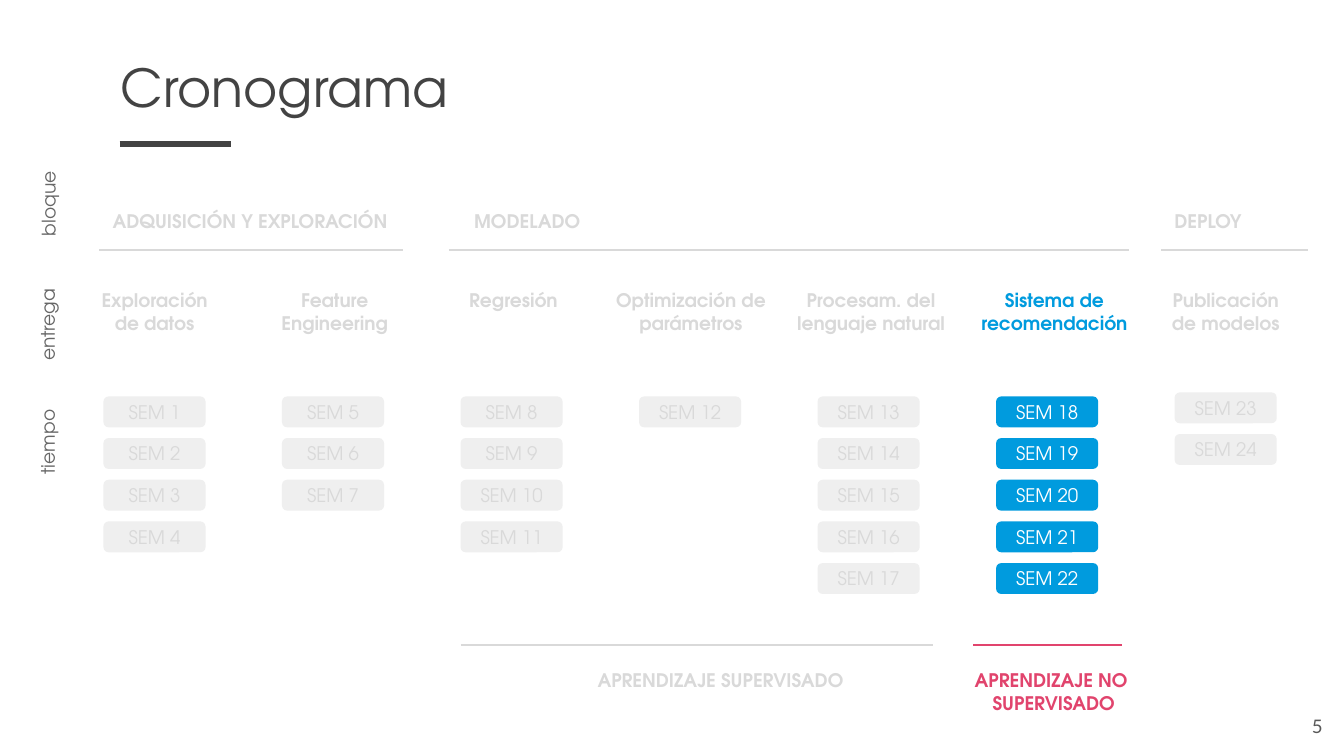
from pptx import Presentation
from pptx.dml.color import RGBColor
from pptx.enum.shapes import MSO_CONNECTOR, MSO_SHAPE
from pptx.enum.text import MSO_ANCHOR, MSO_AUTO_SIZE, PP_ALIGN
from pptx.oxml.ns import qn
from pptx.util import Inches, Pt
from lxml.etree import SubElement

DARK = RGBColor(0x43, 0x43, 0x43)
MID = RGBColor(0x66, 0x66, 0x66)
NUMBER = RGBColor(0x59, 0x59, 0x59)
GREY = RGBColor(0xD9, 0xD9, 0xD9)
PALE = RGBColor(0xEF, 0xEF, 0xEF)
BLUE = RGBColor(0x00, 0x9B, 0xDE)
PINK = RGBColor(0xE1, 0x44, 0x6D)
WHITE = RGBColor(0xFF, 0xFF, 0xFF)
FONT = "TeX Gyre Adventor"

FIRST, LAST = 0.77, 8.74  # left edges of the outer week columns
PITCH = 0.31

# heading, heading left, heading width, first week, last week, top of weeks
COLUMNS = [
    ("Exploración de datos", 0.55, 1.2, 1, 4, 2.95),
    ("Feature Engineering", 1.89, 1.2, 5, 7, 2.95),
    ("Regresión", 3.22, 1.2, 8, 11, 2.95),
    ("Optimización de parámetros", 4.45, 1.38, 12, 12, 2.95),
    ("Procesam. del lenguaje natural", 5.79, 1.38, 13, 17, 2.95),
    ("Sistema de recomendación", 7.2, 1.29, 18, 22, 2.95),
    ("Publicación de modelos", 8.52, 1.2, 23, 24, 2.92),
]
ACTIVE = 5

# name, text left, text width, line start, line end
BLOCKS = [
    ("ADQUISICIÓN Y EXPLORACIÓN", 0.74, 2.35, 0.74, 3),
    ("MODELADO", 3.43, 2.35, 3.34, 8.4),
    ("DEPLOY", 8.64, 1.09, 8.64, 9.73),
]

# name, left, top, width, alignment
ROWS = [
    ("bloque", -0.06, 1.39, 0.7, PP_ALIGN.LEFT),
    ("entrega", -0.22, 2.44, 1.01, PP_ALIGN.RIGHT),
    ("tiempo", -0.22, 3.34, 1.01, PP_ALIGN.RIGHT),
]


def write(shape, text, size=10, color=GREY, bold=False, font=FONT,
          align=PP_ALIGN.LEFT, anchor=MSO_ANCHOR.TOP):
    frame = shape.text_frame
    frame.text = text
    frame.word_wrap = True
    frame.auto_size = MSO_AUTO_SIZE.NONE
    frame.vertical_anchor = anchor
    frame.margin_left = frame.margin_right = Inches(0.1)
    frame.margin_top = frame.margin_bottom = Inches(0.1)
    for para in frame.paragraphs:
        para.alignment = align
        para.font.name = font
        para.font.size = Pt(size)
        para.font.bold = bold
        para.font.color.rgb = color


def add_label(slide, text, left, top, width, height, turn=0, **style):
    box = slide.shapes.add_textbox(
        Inches(left), Inches(top), Inches(width), Inches(height))
    box.rotation = turn
    write(box, text, **style)


def add_rule(slide, start, end, y, color=GREY, weight=1.5):
    """Draw a horizontal line."""
    rule = slide.shapes.add_connector(
        MSO_CONNECTOR.STRAIGHT, Inches(start), Inches(y), Inches(end), Inches(y))
    rule.line.color.rgb = color
    rule.line.width = Pt(weight)
    SubElement(rule._element.spPr, qn("a:effectLst"))


def add_week(slide, week, left, top, fill, color):
    pill = slide.shapes.add_shape(
        MSO_SHAPE.ROUNDED_RECTANGLE,
        Inches(left), Inches(top), Inches(0.76), Inches(0.23))
    pill.shadow.inherit = False
    pill.fill.solid()
    pill.fill.fore_color.rgb = fill
    pill.line.fill.background()
    write(pill, f"SEM {week}", color=color,
          align=PP_ALIGN.CENTER, anchor=MSO_ANCHOR.MIDDLE)


def add_title(slide, text):
    title = slide.shapes.title
    title.left, title.top = Inches(0.8), Inches(0.31)
    title.width, title.height = Inches(7.38), Inches(0.59)
    write(title, text, size=28, color=DARK)
    add_rule(slide, 0.89, 1.72, 1.07, color=DARK, weight=3)


def add_columns(slide):
    step = (LAST - FIRST) / (len(COLUMNS) - 1)
    for i, (head, left, width, first, last, top) in enumerate(COLUMNS):
        active = i == ACTIVE
        add_label(slide, head, left, 2.05, width, 0.53, bold=True,
                  color=BLUE if active else GREY, align=PP_ALIGN.CENTER)
        fill, color = (BLUE, WHITE) if active else (PALE, GREY)
        for row, week in enumerate(range(first, last + 1)):
            add_week(slide, week, FIRST + i * step, top + row * PITCH,
                     fill, color)


def main():
    deck = Presentation()
    deck.slide_width = Inches(10)
    deck.slide_height = deck.slide_width * 9 // 16
    slide = deck.slides.add_slide(deck.slide_layouts[5])
    add_title(slide, "Cronograma")
    for name, left, top, width, align in ROWS:
        add_label(slide, name, left, top, width, 0.23, turn=270,
                  color=MID, align=align)
    for name, left, width, start, end in BLOCKS:
        add_label(slide, name, left, 1.46, width, 0.23, bold=True)
        add_rule(slide, start, end, 1.86)
    add_columns(slide)
    add_rule(slide, 3.43, 6.94, 4.8)
    add_label(slide, "APRENDIZAJE SUPERVISADO", 4.09, 4.88, 2.54, 0.29,
              bold=True, align=PP_ALIGN.CENTER)
    add_rule(slide, 7.24, 8.35, 4.8, color=PINK)
    add_label(slide, "APRENDIZAJE NO \nSUPERVISADO", 6.57, 4.88, 2.54, 0.29,
              bold=True, color=PINK, align=PP_ALIGN.CENTER)
    add_label(slide, "5", 9.34, 5.19, 0.6, 0.43, font="Lato", color=NUMBER,
              align=PP_ALIGN.RIGHT, anchor=MSO_ANCHOR.MIDDLE)
    deck.save("out.pptx")


if __name__ == "__main__":
    main()
